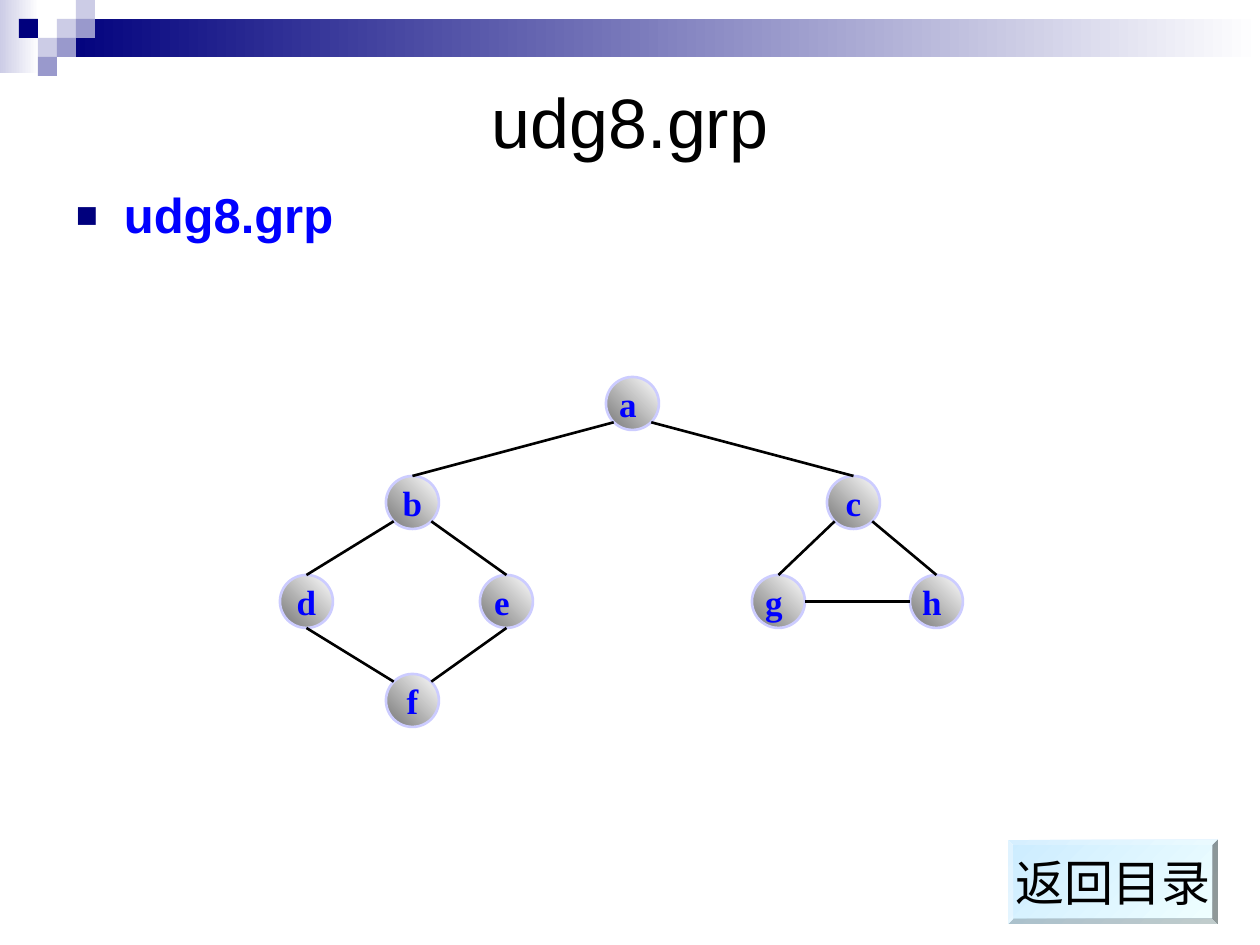
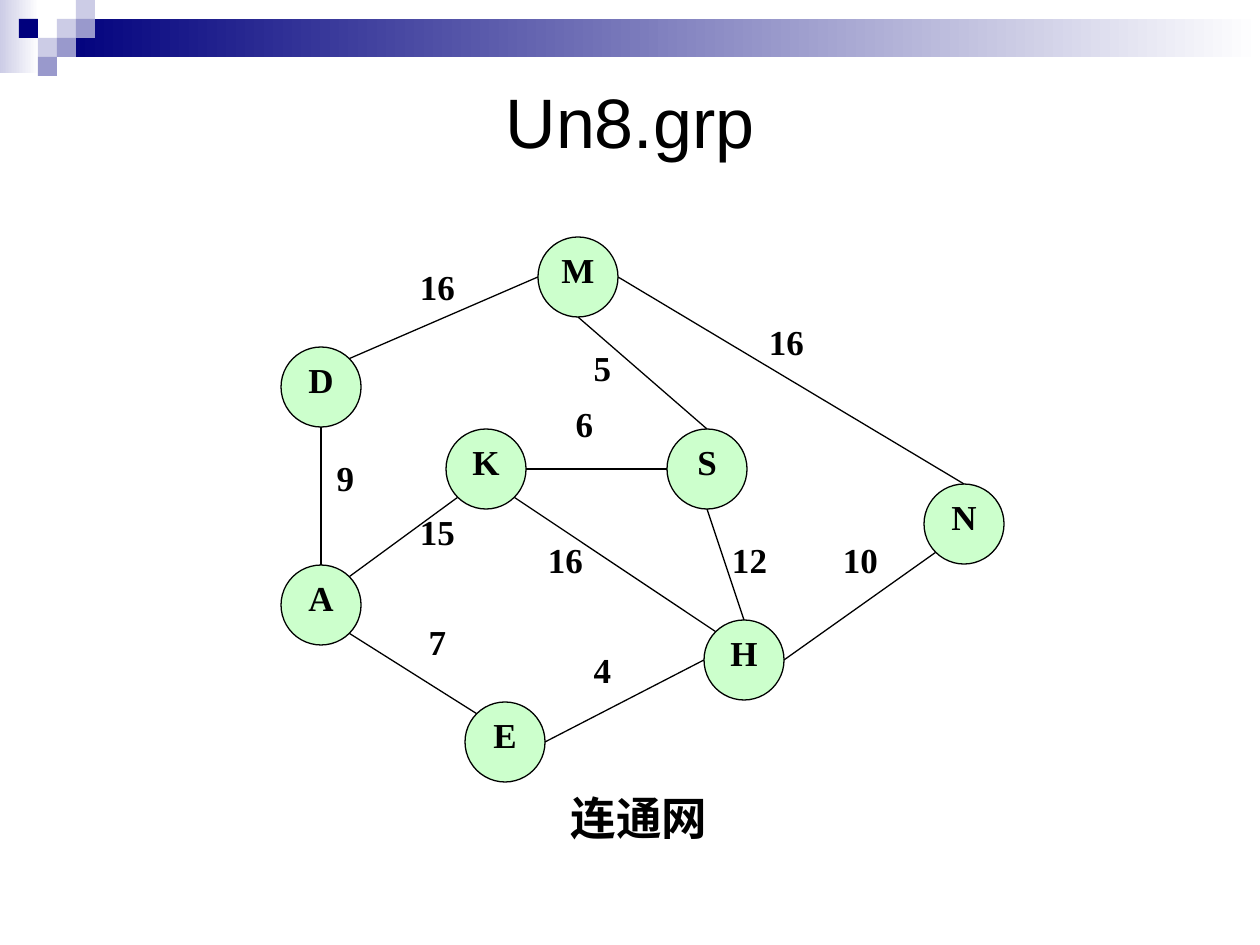
import pptx
import pptx.util
import pptx.dml.color
import pptx.enum.shapes
import pptx.enum.text
import pptx.oxml.ns
from lxml import etree

EMU_PER_PX = 914400 / 126
SANS, SERIF = "Arial", "Times New Roman"
COLORS = {
    "black": "000000", "white": "FFFFFF", "navy": "00007D", "blue": "0000FF",
    "lilac": "CCCCE6", "violet": "9999CC", "rim": "CCCCFF", "gray": "767676",
    "mint": "CCFFCC", "sky": "CCECFF", "ice": "F0FFFF",
}
SHAPE = pptx.enum.shapes.MSO_SHAPE
ALIGN = pptx.enum.text.PP_ALIGN
ANCHOR = pptx.enum.text.MSO_ANCHOR

# Compass points of a circle, as fractions of its radius
DIAGONAL = 0.71
COMPASS = {
    "N": (0, -1), "S": (0, 1), "W": (-1, 0), "E": (1, 0),
    "NW": (-DIAGONAL, -DIAGONAL), "NE": (DIAGONAL, -DIAGONAL),
    "SW": (-DIAGONAL, DIAGONAL), "SE": (DIAGONAL, DIAGONAL),
}

# Left, top of each vertex; edges run from a compass point to another
TREE_SIZE, TREE_TOP, TREE_STEP = 53, 377, 99
TREE_LEVELS = [
    {"a ": 606},
    {"b": 386, "c": 827},
    {"d": 280, "e ": 480, "g ": 752, "h ": 910},
    {"f": 386},
]
TREE_EDGES = ["a SW b N", "a SE c N", "b SW d N", "b SE e N", "e S f NE",
              "d S f NW", "c SW g N", "c SE h N", "g E h W"]

NET_SIZE = 80
NET_NODES = {"M": (538, 237), "D": (281, 347), "A": (281, 565), "S": (667, 429),
             "K": (446, 429), "H": (704, 620), "E": (465, 702), "N": (924, 484)}
NET_EDGES = ["D NE M W", "D S A N", "A SE E NW", "A NE K SW", "K SE H NW",
             "S S H N", "K E S W", "H E N SW", "E E H W", "M E N N", "M S S N"]
NET_WEIGHTS = [("16", 410, 265), ("16", 759, 320), ("5", 575, 346),
               ("9", 318, 456), ("6", 557, 402), ("12", 722, 538),
               ("16", 538, 538), ("10", 833, 538), ("15", 410, 510),
               ("4", 575, 648), ("7", 410, 620)]


def px(length):
    return pptx.util.Emu(round(length * EMU_PER_PX))


def rgb(name):
    return pptx.dml.color.RGBColor.from_string(COLORS[name])


def write(holder, text, *, size, font=SERIF, color="black", bold=False,
          align=ALIGN.CENTER, anchor=ANCHOR.TOP, inset=(0, 0), wrap=True):
    frame = holder.text_frame
    frame.auto_size = pptx.enum.text.MSO_AUTO_SIZE.NONE
    frame.word_wrap = wrap
    frame.vertical_anchor = anchor
    frame.margin_left = frame.margin_right = px(inset[0])
    frame.margin_top = frame.margin_bottom = px(inset[1])
    paragraph = frame.paragraphs[0]
    paragraph.alignment = align
    run = paragraph.add_run()
    run.text = text
    run.font.name = font
    run.font.size = pptx.util.Pt(size)
    run.font.bold = bold
    run.font.color.rgb = rgb(color)
    return paragraph


def add_form(slide, kind, left, top, width, height, fill, *, angle=0,
             line=None, weight=0.75):
    """Fill is one colour name, or a pair for a gradient."""
    form = slide.shapes.add_shape(kind, px(left), px(top), px(width), px(height))
    form.shadow.inherit = False
    if isinstance(fill, tuple):
        form.fill.gradient()
        form.fill.gradient_angle = angle
        for stop, name in zip(form.fill.gradient_stops, fill):
            stop.color.rgb = rgb(name)
    else:
        form.fill.solid()
        form.fill.fore_color.rgb = rgb(fill)
    if line:
        form.line.color.rgb = rgb(line)
        form.line.width = pptx.util.Pt(weight)
    else:
        form.line.fill.background()
    return form


def add_label(slide, text, left, top, width, height, **text_format):
    label = slide.shapes.add_textbox(px(left), px(top), px(width), px(height))
    return write(label, text, **text_format)


def add_edges(slide, edges, nodes, size, weight):
    radius = size / 2

    def rim_point(node, side):
        return [px(corner + radius * (1 + shift))
                for corner, shift in zip(nodes[node], COMPASS[side])]

    for edge in edges:
        start, start_side, end, end_side = edge.split()
        link = slide.shapes.add_connector(
            pptx.enum.shapes.MSO_CONNECTOR.STRAIGHT,
            *rim_point(start, start_side), *rim_point(end, end_side))
        link.line.color.rgb = rgb("black")
        link.line.width = pptx.util.Pt(weight)
        etree.SubElement(link._element.spPr, pptx.oxml.ns.qn("a:effectLst"))


def add_bullet(paragraph, indent):
    properties = paragraph._p.get_or_add_pPr()
    properties.set("marL", str(px(indent)))
    properties.set("indent", str(-px(indent)))
    paragraph.space_before = pptx.util.Pt(7)
    qn = pptx.oxml.ns.qn
    bullet_color = etree.SubElement(properties, qn("a:buClr"))
    etree.SubElement(bullet_color, qn("a:srgbClr"), val=COLORS["navy"])
    etree.SubElement(properties, qn("a:buSzPct"), val="75000")
    etree.SubElement(properties, qn("a:buFont"), typeface=SANS)
    etree.SubElement(properties, qn("a:buChar"), char="■")


def add_titled_slide(deck, title):
    slide = deck.slides.add_slide(deck.slide_layouts[5])
    # Header band with its mosaic of squares
    add_form(slide, SHAPE.RECTANGLE, 0, 0, 39, 73, ("lilac", "white"))
    add_form(slide, SHAPE.RECTANGLE, 57, 19, 1203, 38, ("navy", "white"))
    tile = 19
    for column, row, color in [(3, 1, "lilac"), (4, 0, "lilac"), (4, 1, "violet"),
                               (2, 2, "lilac"), (1, 1, "navy"), (3, 2, "violet"),
                               (2, 3, "violet")]:
        add_form(slide, SHAPE.RECTANGLE, column * tile, row * tile, tile, tile, color)
    # Title
    heading = slide.shapes.title
    heading.left, heading.top, heading.width, heading.height = map(
        px, (63, 63, 1134, 116))
    write(heading, title, size=40, font=SANS, anchor=ANCHOR.MIDDLE, inset=(13, 6))
    return slide


def build_tree_slide(deck):
    slide = add_titled_slide(deck, "udg8.grp")
    file_name = add_label(slide, "udg8.grp", 63, 179, 1134, 672, size=28, font=SANS,
                          color="blue", bold=True, align=ALIGN.LEFT, inset=(13, 6))
    add_bullet(file_name, 48)
    # Vertices, level by level
    nodes = {}
    for depth, level in enumerate(TREE_LEVELS):
        top = TREE_TOP + depth * TREE_STEP
        for name, left in level.items():
            nodes[name.strip()] = (left, top)
            vertex = add_form(slide, SHAPE.OVAL, left, top, TREE_SIZE, TREE_SIZE,
                              ("gray", "white"), angle=45, line="rim", weight=1.5)
            write(vertex, name, size=20, color="blue", bold=True,
                  anchor=ANCHOR.MIDDLE, inset=(13, 6), wrap=False)
    add_edges(slide, TREE_EDGES, nodes, TREE_SIZE, 1.5)
    # Button back to the contents
    contents_button = add_form(slide, SHAPE.BEVEL, 1008, 840, 210, 84,
                               ("sky", "ice"), angle=315)
    contents_button.adjustments[0] = 0.06
    write(contents_button, "返回目录", size=28, font=SANS, anchor=ANCHOR.MIDDLE,
          inset=(13, 6), wrap=False)


def build_network_slide(deck):
    slide = add_titled_slide(deck, "Un8.grp")
    for name, (left, top) in NET_NODES.items():
        vertex = add_form(slide, SHAPE.OVAL, left, top, NET_SIZE, NET_SIZE,
                          "mint", line="black")
        write(vertex, name, size=20, bold=True)
    add_edges(slide, NET_EDGES, NET_NODES, NET_SIZE, 0.75)
    # Edge weights
    for weight, left, top in NET_WEIGHTS:
        add_label(slide, weight, left, top, 55, 54, size=20, bold=True)
    # Caption
    caption = add_form(slide, SHAPE.RECTANGLE, 336, 784, 606, 82, "white")
    write(caption, "连通网", size=26, bold=True, inset=(13, 6))


def main():
    deck = pptx.Presentation()
    deck.slide_width, deck.slide_height = px(1260), px(945)
    build_tree_slide(deck)
    build_network_slide(deck)
    deck.save("out.pptx")


if __name__ == "__main__":
    main()
